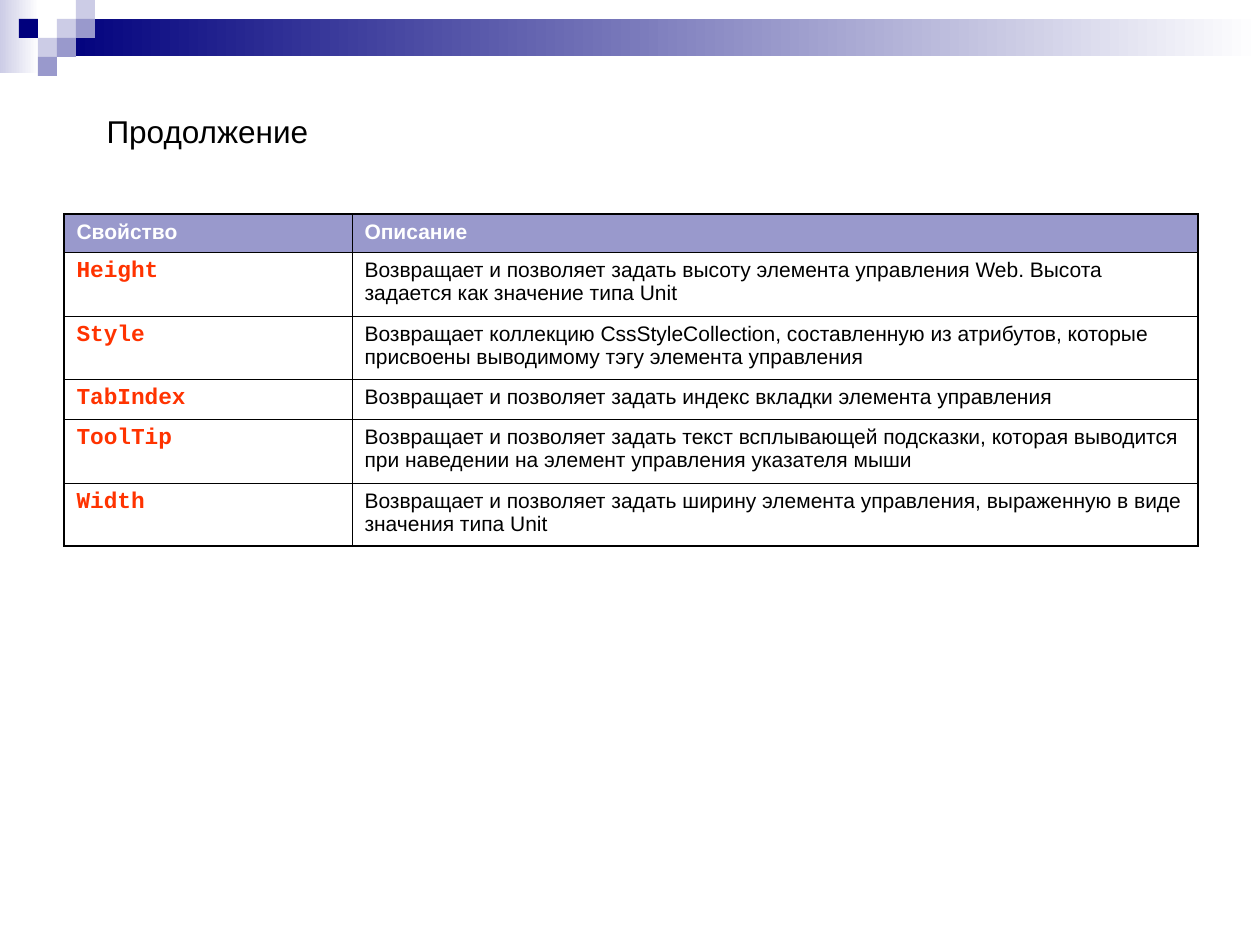
from lxml import etree
from pptx import Presentation
from pptx.dml.color import RGBColor
from pptx.enum.shapes import MSO_SHAPE
from pptx.enum.text import MSO_ANCHOR, PP_ALIGN
from pptx.oxml.ns import qn
from pptx.util import Pt

RECT = MSO_SHAPE.RECTANGLE
TOP = MSO_ANCHOR.TOP
LEFT = PP_ALIGN.LEFT

NAVY = RGBColor(0x00, 0x00, 0x7D)
LILAC = RGBColor(0x99, 0x99, 0xCC)
PALE = RGBColor(0xCC, 0xCC, 0xE6)
RED = RGBColor(0xFF, 0x33, 0x00)
BLACK = RGBColor(0, 0, 0)
WHITE = RGBColor(0xFF, 0xFF, 0xFF)

SCALE = 914400 / 126  # EMU in one px


def px(*nums):
    return [round(n * SCALE) for n in nums]


def write(frame, text, size, font, color, bold, gap):
    para = frame.paragraphs[0]
    para.alignment = LEFT
    para.space_before = Pt(gap)
    run = para.add_run()
    run.text = text
    run.font.size = Pt(size)
    run.font.name = font
    run.font.color.rgb = color
    run.font.bold = bold


prs = Presentation()
prs.slide_width, prs.slide_height = px(1260, 945)
slide = prs.slides.add_slide(prs.slide_layouts[5])
shapes = slide.shapes

# Header bars fading to white, then the grid of squares
STEP = 19
parts = [((0, 0, 39, 73), PALE, True), ((57, 19, 1203, 37), NAVY, True)]
squares = [(3, 1, PALE), (4, 0, PALE), (4, 1, LILAC), (2, 2, PALE),
           (1, 1, NAVY), (3, 2, LILAC), (2, 3, LILAC)]
for col, row, color in squares:
    parts.append(((col * STEP, row * STEP, STEP, STEP), color, False))

for box, color, fade in parts:
    part = shapes.add_shape(RECT, *px(*box))
    part.shadow.inherit = False
    part.line.fill.background()
    if fade:
        part.fill.gradient()
        part.fill.gradient_angle = 0
        for stop, tint in zip(part.fill.gradient_stops, (color, WHITE)):
            stop.color.rgb = tint
    else:
        part.fill.solid()
        part.fill.fore_color.rgb = color

# Title
title = shapes.title
title.left, title.top, title.width, title.height = px(94, 106, 536, 50)
title.text_frame.vertical_anchor = TOP
write(title.text_frame, "Продолжение", 18, "Arial", BLACK, False, 11)

# Table of properties
rows = [
    ("Свойство", "Описание"),
    ("Height", "Возвращает и позволяет задать высоту элемента управления Web. "
               "Высота задается как значение типа Unit"),
    ("Style", "Возвращает коллекцию CssStyleCollection, составленную из "
              "атрибутов, которые присвоены выводимому тэгу элемента "
              "управления"),
    ("TabIndex", "Возвращает и позволяет задать индекс вкладки элемента "
                 "управления"),
    ("ToolTip", "Возвращает и позволяет задать текст всплывающей подсказки, "
                "которая выводится при наведении на элемент управления "
                "указателя мыши"),
    ("Width", "Возвращает и позволяет задать ширину элемента управления, "
              "выраженную в виде значения типа Unit"),
]
widths = px(288, 846)
heights = px(38, 64, 63, 40, 64, 63)
grid = shapes.add_table(len(rows), 2, *px(64, 214, 1134, 332)).table
grid.first_row = False
grid.horz_banding = False
for col, width in zip(grid.columns, widths):
    col.width = width
for row, height in zip(grid.rows, heights):
    row.height = height

THICK, THIN = Pt(1.08), Pt(0.45)
for r, texts in enumerate(rows):
    for c, text in enumerate(texts):
        cell = grid.cell(r, c)

        # Thick lines outside, thin lines inside
        props = cell._tc.get_or_add_tcPr()
        edges = {"L": c == 0, "R": c == 1, "T": r == 0,
                 "B": r == len(rows) - 1}
        for side, outer in edges.items():
            line = etree.SubElement(props, qn(f"a:ln{side}"),
                                    w=str(THICK if outer else THIN))
            fill = etree.SubElement(line, qn("a:solidFill"))
            etree.SubElement(fill, qn("a:srgbClr"), val=str(BLACK))

        if r == 0:
            cell.fill.solid()
            cell.fill.fore_color.rgb = LILAC
            look = (12, "Arial", WHITE, True, 3)
        else:
            cell.fill.background()
            if c == 0:
                look = (13, "Courier New", RED, True, 3.3)
            else:
                look = (12, "Arial", BLACK, False, 3)
        write(cell.text_frame, text, *look)

prs.save("out.pptx")
